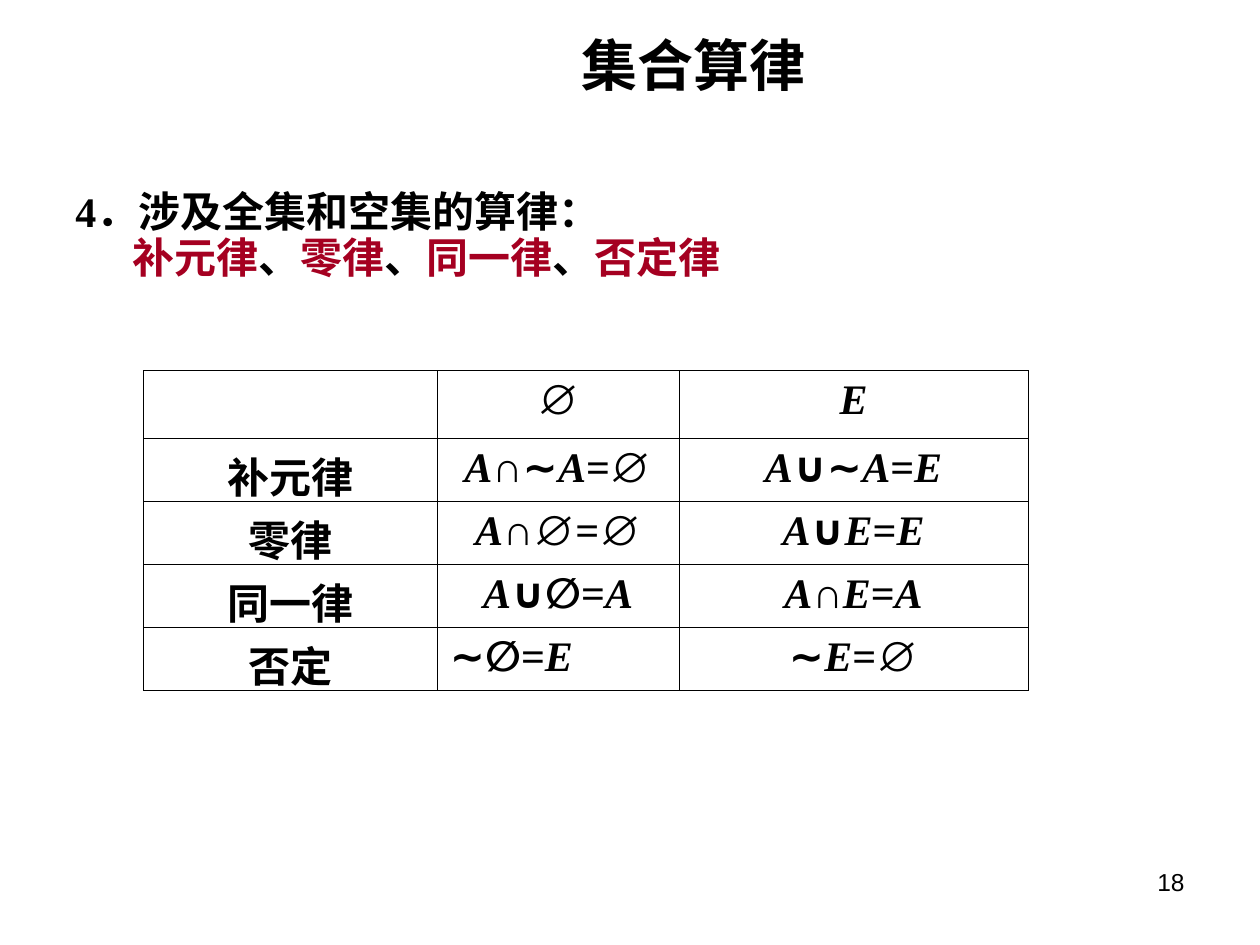
import dataclasses
import itertools

import pptx
import pptx.dml.color
import pptx.enum.text
import pptx.oxml.ns
import pptx.util
from lxml import etree

Inches = pptx.util.Inches
Pt = pptx.util.Pt
Align = pptx.enum.text.PP_ALIGN
Anchor = pptx.enum.text.MSO_ANCHOR


@dataclasses.dataclass(frozen=True)
class Theme:
    ink: str = "000000"
    accent: str = "A50021"
    sans: str = "Arial"
    serif: str = "Times New Roman"
    chinese: str = "Noto Sans CJK SC"
    title_size: int = 32
    body_size: int = 24
    number_size: int = 14
    border: float = 0.45


THEME = Theme()
LAWS = ["补元律", "零律", "同一律", "否定律"]
COLUMN_WIDTHS = [2.33, 1.92, 2.77]
ROW_HEIGHTS = [0.54] + [0.5] * 4
TABLE_ROWS = [
    ["", "∅", "E"],
    ["补元律", "A∩∼A=∅", "A∪∼A=E"],
    ["零律", "A∩∅=∅", "A∪E=E"],
    ["同一律", "A∪∅=A", "A∩E=A"],
    ["否定", "∼∅=E", "∼E=∅"],
]
LEFT_ALIGNED_CELL = (4, 1)


def add_span(para, text, *, font=THEME.sans, size=THEME.body_size,
             color=THEME.ink, bold=True, italic=False):
    span = para.add_run()
    span.text = text
    span.font.name = font
    span.font.size = Pt(size)
    span.font.bold = bold
    span.font.italic = italic
    span.font.color.rgb = pptx.dml.color.RGBColor.from_string(color)
    east_asian = etree.SubElement(span.font._element, pptx.oxml.ns.qn("a:ea"))
    east_asian.set("typeface", THEME.chinese)


def add_text_frame(page, box, anchor=Anchor.TOP):
    frame = page.shapes.add_textbox(*map(Inches, box)).text_frame
    frame.word_wrap = True
    frame.vertical_anchor = anchor
    return frame


def add_title(page, box):
    para = add_text_frame(page, box, Anchor.MIDDLE).paragraphs[0]
    para.alignment = Align.CENTER
    add_span(para, "集合算律", size=THEME.title_size)


def add_intro(page, box):
    frame = add_text_frame(page, box)
    heading = frame.paragraphs[0]
    add_span(heading, "4．涉及全集和空集的算律：", font=THEME.serif)

    names = frame.add_paragraph()
    names._p.get_or_add_pPr().set("marL", str(Inches(0.45)))
    for index, law in enumerate(LAWS):
        if index:
            add_span(names, "、", font=THEME.serif)
        add_span(names, law, font=THEME.serif, color=THEME.accent)
    for para in frame.paragraphs:
        para.line_spacing = 0.9


def symbol_style(symbol):
    """Font and slant of a symbol: sets are italic serif, operators sans."""
    if symbol in "AE":
        return THEME.serif, True
    if symbol == "=":
        return THEME.serif, False
    return (THEME.sans if symbol in "∩∪∼∅" else THEME.chinese), False


def draw_borders(cell):
    properties = cell._tc.get_or_add_tcPr()
    for side in ("lnL", "lnR", "lnT", "lnB"):
        line = etree.SubElement(properties, pptx.oxml.ns.qn(f"a:{side}"))
        line.set("w", str(Pt(THEME.border)))
        fill = etree.SubElement(line, pptx.oxml.ns.qn("a:solidFill"))
        etree.SubElement(fill, pptx.oxml.ns.qn("a:srgbClr")).set("val", THEME.ink)


def add_law_table(page, box):
    table = page.shapes.add_table(
        len(ROW_HEIGHTS), len(COLUMN_WIDTHS), *map(Inches, box)).table
    table.first_row = False
    table.horz_banding = False
    for column, width in zip(table.columns, COLUMN_WIDTHS):
        column.width = Inches(width)
    for row, height in zip(table.rows, ROW_HEIGHTS):
        row.height = Inches(height)

    for r, texts in enumerate(TABLE_ROWS):
        for c, text in enumerate(texts):
            cell = table.cell(r, c)
            draw_borders(cell)
            cell.fill.background()
            para = cell.text_frame.paragraphs[0]
            para.alignment = Align.LEFT if (r, c) == LEFT_ALIGNED_CELL else Align.CENTER
            for (font, italic), symbols in itertools.groupby(text, symbol_style):
                add_span(para, "".join(symbols), font=font, italic=italic)


def add_page_number(page, box):
    para = add_text_frame(page, box).paragraphs[0]
    para.alignment = Align.RIGHT
    add_span(para, "18", size=THEME.number_size, bold=False)


def main():
    deck = pptx.Presentation()
    deck.slide_width = Inches(10)
    deck.slide_height = Inches(7.5)
    page = deck.slides.add_slide(deck.slide_layouts[6])
    add_title(page, (2.16, 0.28, 6.69, 0.46))
    add_intro(page, (0.5, 1.47, 9, 0.94))
    add_law_table(page, (1.14, 2.94, sum(COLUMN_WIDTHS), sum(ROW_HEIGHTS)))
    add_page_number(page, (7.17, 6.83, 2.33, 0.52))
    deck.save("out.pptx")


if __name__ == "__main__":
    main()
